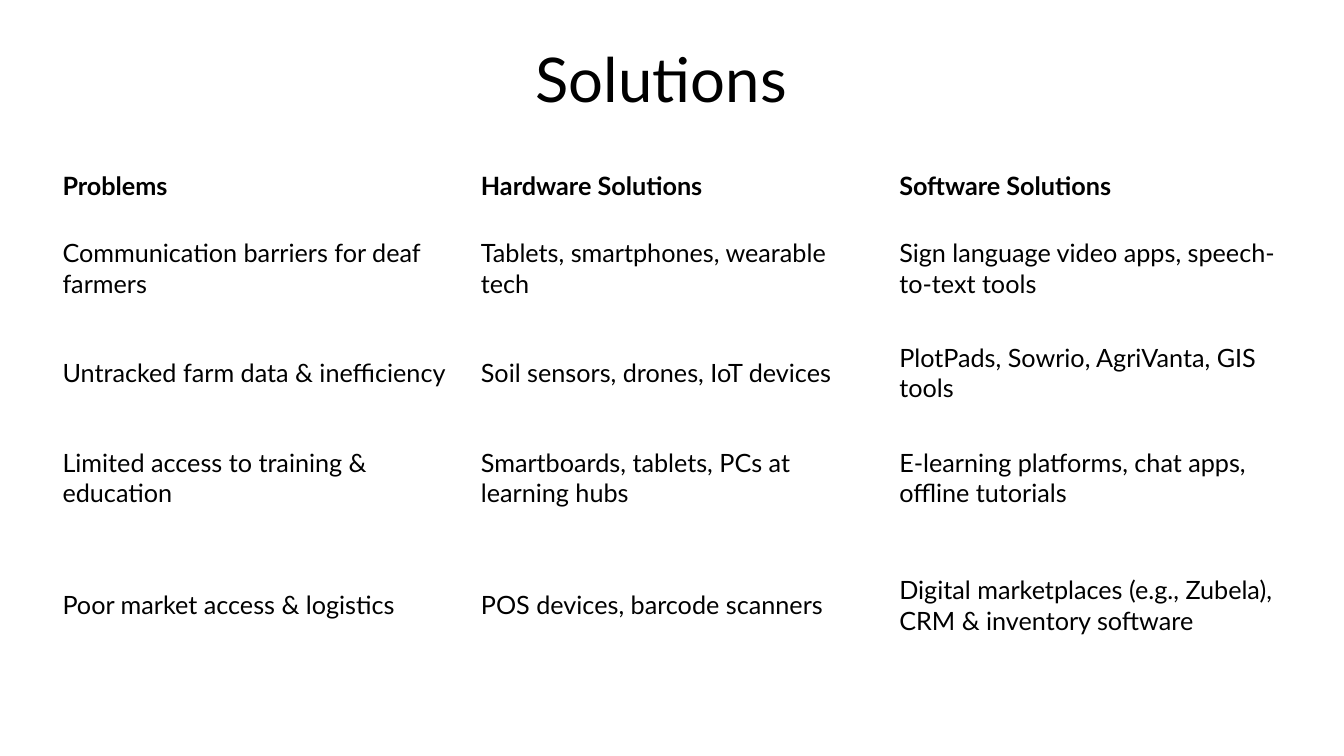
from dataclasses import dataclass

from pptx import Presentation
from pptx.dml.color import RGBColor
from pptx.enum.text import MSO_ANCHOR, PP_ALIGN
from pptx.util import Inches, Pt

MIDDLE = MSO_ANCHOR.MIDDLE
CENTER = PP_ALIGN.CENTER


@dataclass(frozen=True)
class Theme:
    face: str = "Lato"
    ink: RGBColor = RGBColor(0, 0, 0)
    title: int = 44
    body: int = 18


THEME = Theme()
TITLE_BOX = (0.81, 0.09, 11.5, 1.45)
GRID_BOX = (0.52, 1.54, 12.45, 5.21)
HEIGHTS = (0.6, 1.04, 1.04, 1.04, 1.49)
ROWS = (
    ("Problems", "Hardware Solutions", "Software Solutions"),
    (
        "Communication barriers for deaf farmers",
        "Tablets, smartphones, wearable tech",
        "Sign language video apps, speech-to-text tools",
    ),
    (
        "Untracked farm data & inefficiency",
        "Soil sensors, drones, IoT devices",
        "PlotPads, Sowrio, AgriVanta, GIS tools",
    ),
    (
        "Limited access to training & education",
        "Smartboards, tablets, PCs at learning hubs",
        "E-learning platforms, chat apps, offline tutorials",
    ),
    (
        "Poor market access & logistics",
        "POS devices, barcode scanners",
        "Digital marketplaces (e.g., Zubela), CRM & inventory software",
    ),
)


def style(par, size, bold=False):
    par.font.color.rgb = THEME.ink
    looks = {"name": THEME.face, "size": Pt(size), "bold": bold}
    for key, value in looks.items():
        setattr(par.font, key, value)


def add_title(slide, box, text):
    frame = slide.shapes.add_textbox(*map(Inches, box)).text_frame
    frame.word_wrap = True
    frame.vertical_anchor = MIDDLE
    par = frame.paragraphs[0]
    par.text = text
    par.alignment = CENTER
    par.line_spacing = 0.9
    style(par, THEME.title)


def add_grid(slide, box, rows, heights):
    count = len(rows[0])
    frame = slide.shapes.add_table(len(rows), count, *map(Inches, box))
    table = frame.table
    table.first_row = False
    table.horz_banding = False
    for col in table.columns:
        col.width = Inches(box[2] / count)
    for row, height in zip(table.rows, heights):
        row.height = Inches(height)
    for r, row in enumerate(rows):
        for c, text in enumerate(row):
            cell = table.cell(r, c)
            cell.fill.background()
            cell.vertical_anchor = MIDDLE
            cell.text = text
            style(cell.text_frame.paragraphs[0], THEME.body, r == 0)


def main():
    deck = Presentation()
    deck.slide_width = Inches(13.33)
    deck.slide_height = Inches(7.5)
    slide = deck.slides.add_slide(deck.slide_layouts[6])
    add_title(slide, TITLE_BOX, "Solutions")
    add_grid(slide, GRID_BOX, ROWS, HEIGHTS)
    deck.save("out.pptx")


if __name__ == "__main__":
    main()
